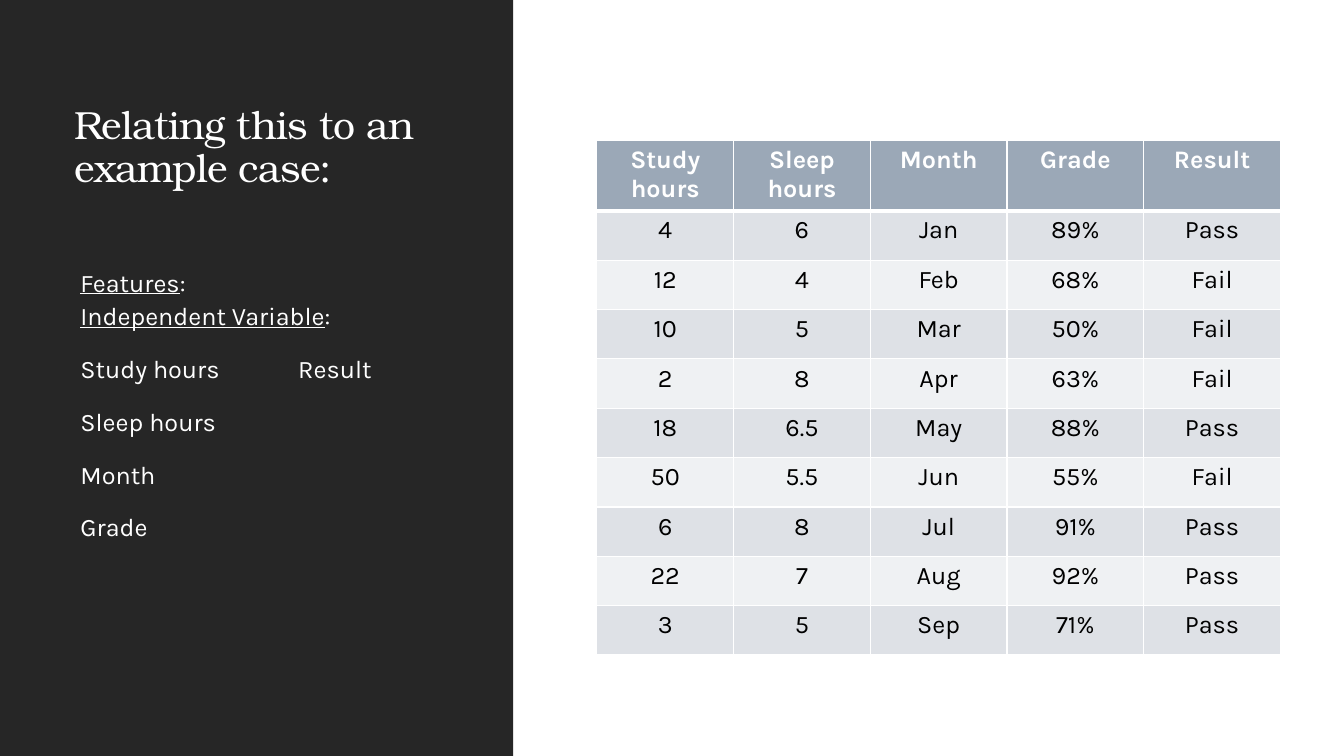
from pptx import Presentation, util as u
from pptx.dml.color import RGBColor
from pptx.enum import shapes, text
from pptx.oxml import ns, xmlchemy

TITLE = "Relating this to an example case:"
HEADINGS = ["Features", "Independent Variable"]
VARIABLES = ["Study hours\tResult", "Sleep hours", "Month", "Grade"]
HEADER = ["Study hours", "Sleep hours", "Month", "Grade", "Result"]
RECORDS = [
    ("4", "6", "Jan", "89%", "Pass"),
    ("12", "4", "Feb", "68%", "Fail"),
    ("10", "5", "Mar", "50%", "Fail"),
    ("2", "8", "Apr", "63%", "Fail"),
    ("18", "6.5", "May", "88%", "Pass"),
    ("50", "5.5", "Jun", "55%", "Fail"),
    ("6", "8", "Jul", "91%", "Pass"),
    ("22", "7", "Aug", "92%", "Pass"),
    ("3", "5", "Sep", "71%", "Pass"),
]

WIDTH, HEIGHT = 13.33, 7.5
PANEL_WIDTH, TEXT_WIDTH = 5.09, 4.06
TABLE_LEFT, TABLE_TOP, TABLE_WIDTH = 5.92, 1.39, 6.78
HEADER_HEIGHT, ROW_HEIGHT = 0.67, 0.49
RESULT_TAB = 2.16
WHITE, BLACK, PANEL = "FFFFFF", "000000", "262626"
HEADER_FILL, BANDS = "9BA8B7", ("DEE1E6", "EFF1F3")
HEADING_FONT, BODY_FONT = "TeX Gyre Bonum", "Karla"


def paint(fill, color):
    """Make a fill solid in a hex colour."""
    fill.solid()
    fill.fore_color.rgb = RGBColor.from_string(color)


def style(paragraph, name, size, color, bold=False):
    """Set the font of a whole paragraph."""
    font = paragraph.font
    font.name, font.size, font.bold = name, u.Pt(size), bold
    paint(font.fill, color)


def add_child(parent, tag, **attributes):
    """Append an XML element with attributes and return it."""
    child = xmlchemy.OxmlElement(tag)
    for key, value in attributes.items():
        child.set(key, str(value))
    parent.append(child)
    return child


def add_panel(slide):
    """Draw the dark panel behind everything else."""
    panel = slide.shapes.add_shape(shapes.MSO_SHAPE.RECTANGLE, 0, 0,
                                   u.Inches(PANEL_WIDTH), u.Inches(HEIGHT))
    panel.shadow.inherit = False
    paint(panel.fill, PANEL)
    panel.line.fill.background()
    slide.shapes.title._element.addprevious(panel._element)


def fill_title(title):
    """Place and format the title."""
    title.left, title.top = u.Inches(0.64), u.Inches(0.84)
    title.width, title.height = u.Inches(TEXT_WIDTH), u.Inches(1.1)
    frame = title.text_frame
    frame.text = TITLE
    frame.word_wrap = True
    frame.auto_size = text.MSO_AUTO_SIZE.NONE
    frame.vertical_anchor = text.MSO_ANCHOR.BOTTOM
    paragraph = frame.paragraphs[0]
    paragraph.alignment = text.PP_ALIGN.LEFT
    paragraph.line_spacing = 0.9
    style(paragraph, HEADING_FONT, 28, WHITE)
    paragraph.runs[0].font._element.set("spc", "-50")


def add_variables(slide):
    """Write the underlined headings and the variables below them."""
    box = slide.shapes.add_textbox(u.Inches(0.7), u.Inches(2.57),
                                   u.Inches(TEXT_WIDTH), u.Inches(4.5))
    frame = box.text_frame
    frame.word_wrap = True
    frame.text = "\n".join([""] + VARIABLES)
    headings = frame.paragraphs[0]
    for index, heading in enumerate(HEADINGS):
        if index:
            headings.add_line_break()
        run = headings.add_run()
        run.text = heading
        run.font.underline = True
        headings.add_run().text = ":"
    for paragraph in frame.paragraphs:
        paragraph.line_spacing = 1.1
        paragraph.space_before, paragraph.space_after = u.Pt(12), u.Pt(2)
        style(paragraph, BODY_FONT, 18, WHITE)
    properties = frame.paragraphs[1]._p.get_or_add_pPr()
    tabs = add_child(properties, "a:tabLst")
    add_child(tabs, "a:tab", pos=u.Inches(RESULT_TAB), algn="l")
    properties.find(ns.qn("a:defRPr")).addprevious(tabs)


def add_borders(cell, top, bottom):
    """Give a cell white borders; top and bottom are widths in points."""
    properties = cell._tc.get_or_add_tcPr()
    for side, width in zip("LRTB", (1, 1, top, bottom)):
        line = add_child(properties, f"a:ln{side}", w=u.Pt(width))
        add_child(add_child(line, "a:solidFill"), "a:srgbClr", val=WHITE)


def add_grades(slide):
    """Build the table of records with banded rows."""
    rows = [HEADER] + RECORDS
    height = HEADER_HEIGHT + ROW_HEIGHT * len(RECORDS)
    table = slide.shapes.add_table(
        len(rows), len(HEADER), u.Inches(TABLE_LEFT), u.Inches(TABLE_TOP),
        u.Inches(TABLE_WIDTH), u.Inches(height)).table
    for r, values in enumerate(rows):
        is_header = r == 0
        table.rows[r].height = u.Inches(HEADER_HEIGHT if is_header else ROW_HEIGHT)
        for c, value in enumerate(values):
            cell = table.cell(r, c)
            cell.text = value
            add_borders(cell, 3 if r == 1 else 1, 3 if is_header else 1)
            paint(cell.fill, HEADER_FILL if is_header else BANDS[(r - 1) % 2])
            paragraph = cell.text_frame.paragraphs[0]
            paragraph.alignment = text.PP_ALIGN.CENTER
            style(paragraph, BODY_FONT, 18, WHITE if is_header else BLACK, is_header)


presentation = Presentation()
presentation.slide_width, presentation.slide_height = u.Inches(WIDTH), u.Inches(HEIGHT)
slide = presentation.slides.add_slide(presentation.slide_layouts.get_by_name("Title Only"))
add_panel(slide)
fill_title(slide.shapes.title)
add_variables(slide)
add_grades(slide)
presentation.save("out.pptx")
